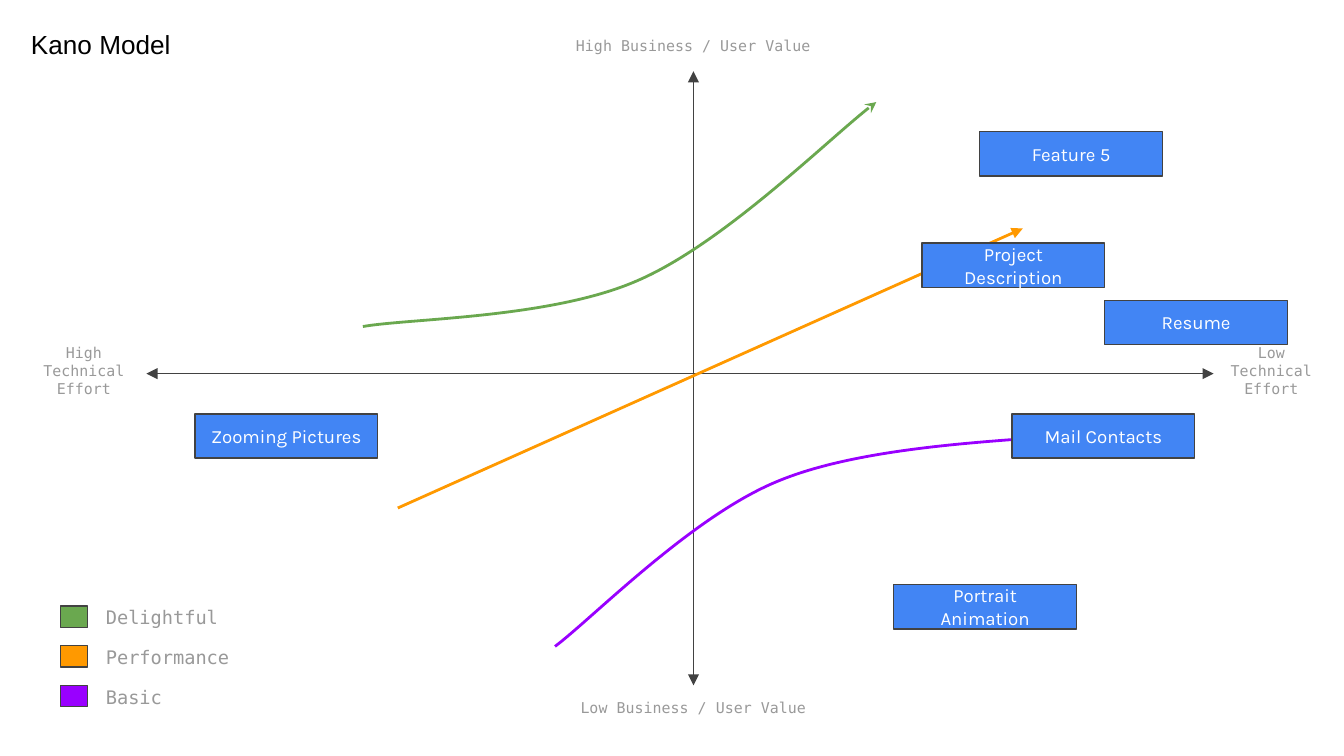
from typing import NamedTuple

from lxml import etree
from pptx import Presentation
from pptx.dml.color import RGBColor
from pptx.enum.shapes import MSO_CONNECTOR, MSO_SHAPE
from pptx.enum.text import MSO_ANCHOR, MSO_AUTO_SIZE, PP_ALIGN
from pptx.oxml.ns import qn
from pptx.util import Inches, Pt

RECT = MSO_SHAPE.RECTANGLE
STRAIGHT = MSO_CONNECTOR.STRAIGHT
LEFT, CENTER = PP_ALIGN.LEFT, PP_ALIGN.CENTER
TOP, MIDDLE = MSO_ANCHOR.TOP, MSO_ANCHOR.MIDDLE
NO_FIT = MSO_AUTO_SIZE.NONE

# The slide is a grid of square cells
COLS, ROWS = 100, 56.25
CELL = Inches(10) / COLS

COLORS = {
    "axis": "424242", "gray": "999999", "box": "4285F4",
    "white": "FFFFFF", "black": "000000",
    "green": "6AA84F", "orange": "FF9900", "purple": "9900FF",
}
MONO, SANS, TITLE = "DejaVu Sans Mono", "Karla", "Arial"


class Label(NamedTuple):
    text: str
    col: float
    row: float
    width: float
    anchor: MSO_ANCHOR


class Box(NamedTuple):
    text: str
    col: float
    row: float


class Curve(NamedTuple):
    color: str
    points: list  # start, then three points for each Bézier piece


class Line(NamedTuple):
    start: tuple
    end: tuple
    color: str
    width: float
    heads: tuple


class Key(NamedTuple):
    text: str
    color: str


LABELS = [
    Label("High Business / User Value", 41.8, 1.7, 19.6, TOP),
    Label("Low Business / User Value", 41.8, 51, 19.6, TOP),
    Label("High Technical Effort", 1.1, 25.8, 10.3, MIDDLE),
    Label("Low Technical Effort", 90.3, 25.8, 8.6, MIDDLE),
]
BOXES = [
    Box("Portrait Animation", 66.5, 43.5),
    Box("Zooming Pictures", 14.5, 30.8),
    Box("Mail Contacts", 75.3, 30.8),
    Box("Project Description", 68.6, 18.1),
    Box("Feature 5", 72.9, 9.8),
    Box("Resume", 82.2, 22.35),
]
BOX_W, BOX_H = 13.6, 3.3
CURVES = [
    Curve("green", [(27, 24.3), (30.4, 23.7), (41, 23.7), (47.4, 20.9),
                    (53.7, 18.2), (62.2, 9.8), (65.2, 7.6)]),
    Curve("purple", [(41.3, 48.1), (44.1, 46), (51.5, 38.4), (57.9, 35.8),
                     (64.4, 33.1), (76.3, 32.8), (80, 32.3)]),
]
LINES = [
    Line((51.6, 5.3), (51.6, 51), "axis", 0.75, ("headEnd", "tailEnd")),
    Line((90.3, 27.8), (10.9, 27.8), "axis", 0.75, ("headEnd", "tailEnd")),
    Line((29.6, 37.8), (76.1, 17), "orange", 1.5, ("tailEnd",)),
]
KEYS = [Key("Delightful", "green"), Key("Performance", "orange"),
        Key("Basic", "purple")]
KEY_ROW, KEY_STEP = 45.1, 2.95


def at(cells: float) -> int:
    return round(cells * CELL)


def rgb(name: str) -> RGBColor:
    return RGBColor.from_string(COLORS[name])


def write(shape, text: str, font: str, size: float, color: str,
          align=CENTER, anchor=MIDDLE) -> None:
    frame = shape.text_frame
    frame.text = text
    frame.word_wrap = True
    frame.auto_size = NO_FIT
    frame.vertical_anchor = anchor
    frame.margin_left = frame.margin_right = at(1)
    frame.margin_top = frame.margin_bottom = at(1)
    para = frame.paragraphs[0]
    para.alignment = align
    style = para.runs[0].font
    style.name, style.size = font, Pt(size)
    style.color.rgb = rgb(color)


def add_rect(slide, col: float, row: float, width: float, height: float,
             color: str):
    rect = slide.shapes.add_shape(RECT, at(col), at(row), at(width), at(height))
    rect.shadow.inherit = False
    rect.fill.solid()
    rect.fill.fore_color.rgb = rgb(color)
    rect.line.color.rgb = rgb("axis")
    rect.line.width = Pt(0.75)
    return rect


def add_text(slide, label: Label, size: float, align=CENTER) -> None:
    box = slide.shapes.add_textbox(
        at(label.col), at(label.row), at(label.width), at(3.6))
    write(box, label.text, MONO, size, "gray", align, label.anchor)


def add_stroke(shape, color: str, width: float, heads: tuple, kind: str) -> None:
    shape.line.color.rgb = rgb(color)
    shape.line.width = Pt(width)
    for head in heads:
        etree.SubElement(shape.line._get_or_add_ln(), qn(f"a:{head}"),
                         type=kind, w="med", len="med")


def add_line(slide, line: Line) -> None:
    ends = [at(part) for part in line.start + line.end]
    link = slide.shapes.add_connector(STRAIGHT, *ends)
    add_stroke(link, line.color, line.width, line.heads, "triangle")
    etree.SubElement(link.element.spPr, qn("a:effectLst"))


def add_curve(slide, curve: Curve) -> None:
    first, *rest = [(at(col), at(row)) for col, row in curve.points]
    build = slide.shapes.build_freeform(*first)
    build.add_line_segments(rest, close=False)
    shape = build.convert_to_shape()
    shape.shadow.inherit = False
    shape.fill.background()
    add_stroke(shape, curve.color, 1.5, ("tailEnd",), "stealth")
    # Turn each three line points into one Bézier piece
    steps = list(shape.element.iter(qn("a:lnTo")))
    route = steps[0].getparent()
    for i in range(0, len(steps), 3):
        piece = etree.SubElement(route, qn("a:cubicBezTo"))
        for step in steps[i:i + 3]:
            piece.append(step[0])
            route.remove(step)


def main() -> None:
    deck = Presentation()
    deck.slide_width, deck.slide_height = at(COLS), at(ROWS)
    slide = deck.slides.add_slide(deck.slide_layouts[5])

    # Title
    title = slide.shapes.title
    title.left, title.top = at(1.3), at(1.1)
    title.width, title.height = at(15.6), at(3.1)
    write(title, "Kano Model", TITLE, 14, "black", LEFT, TOP)

    # Axes and trends
    for line in LINES:
        add_line(slide, line)
    for curve in CURVES:
        add_curve(slide, curve)

    # Legend
    for i, key in enumerate(KEYS):
        row = KEY_ROW + i * KEY_STEP
        add_rect(slide, 4.5, row, 2, 1.6, key.color)
        add_text(slide, Label(key.text, 6.9, row - 1, 19.6, TOP), 10, LEFT)

    # Axis labels
    for label in LABELS:
        add_text(slide, label, 8)

    # Features
    for box in BOXES:
        rect = add_rect(slide, box.col, box.row, BOX_W, BOX_H, "box")
        write(rect, box.text, SANS, 10, "white")

    deck.save("out.pptx")


if __name__ == "__main__":
    main()
